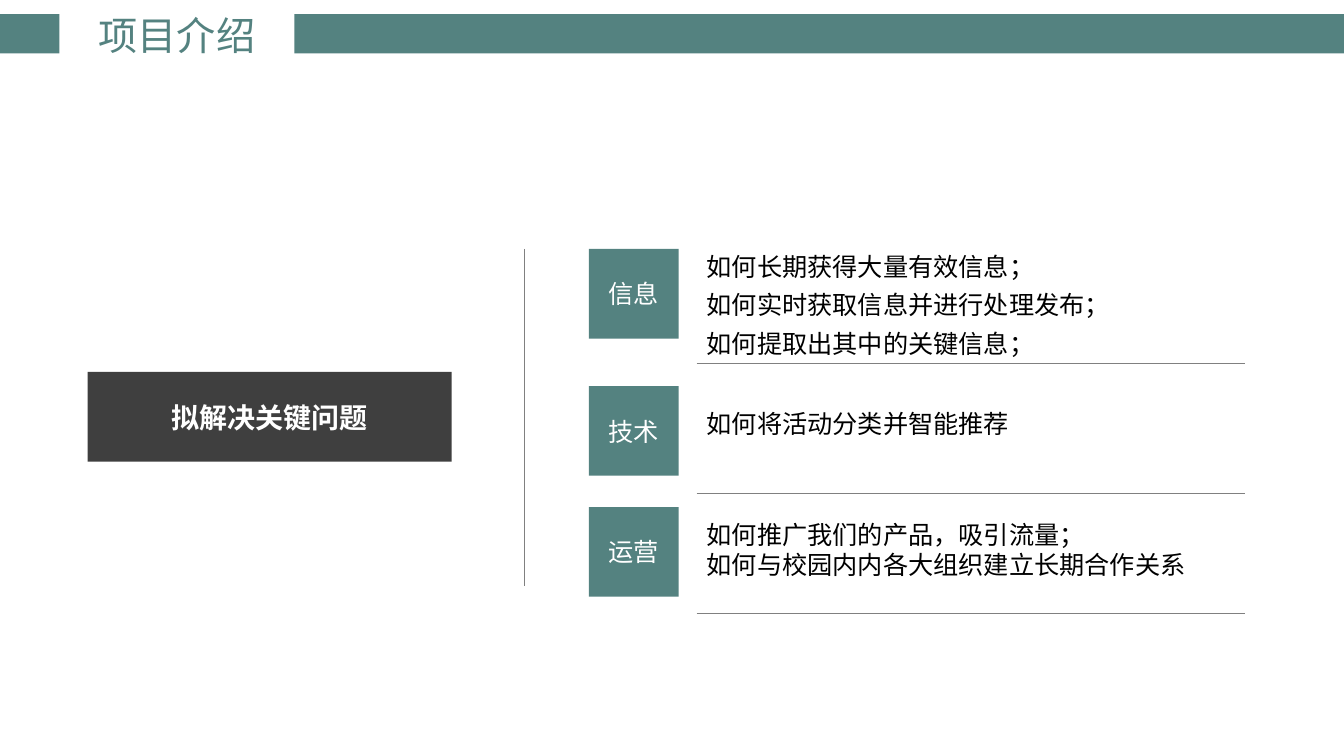
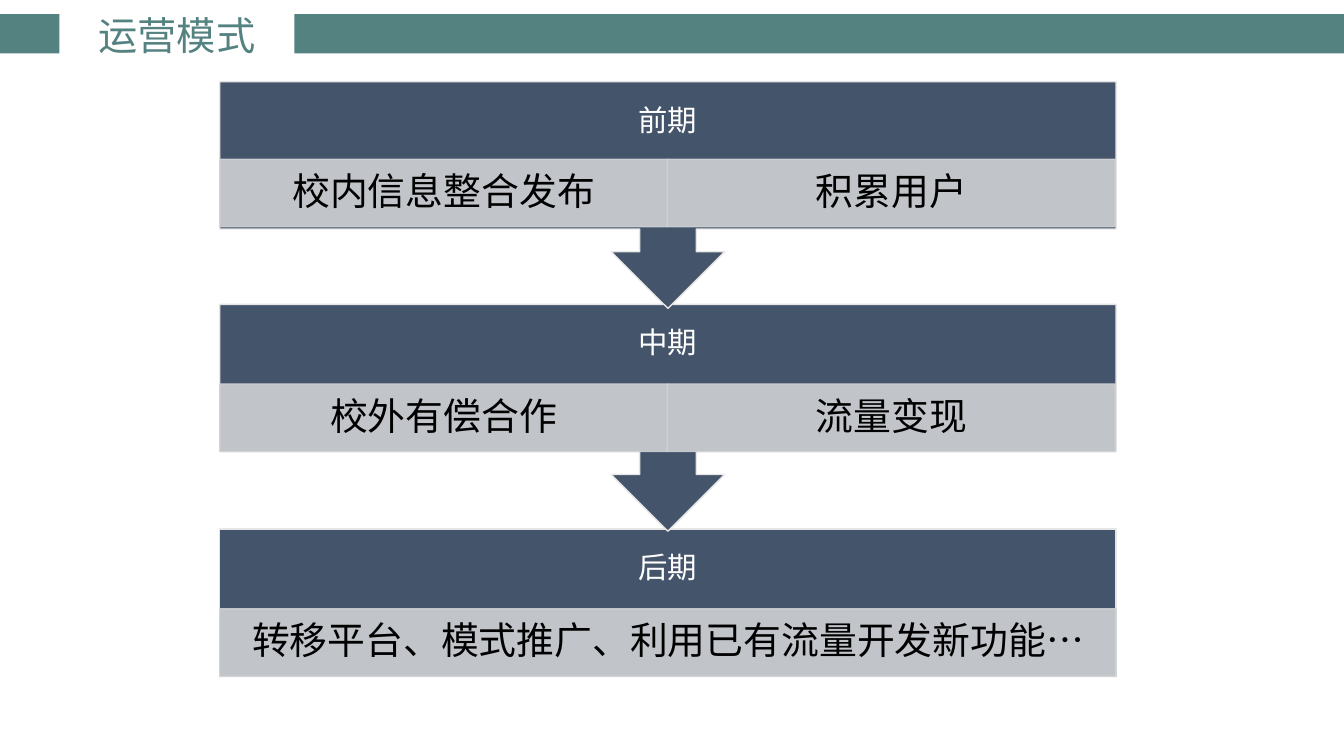
from lxml import etree
from pptx import Presentation
from pptx import util as u
from pptx.dml.color import RGBColor
from pptx.enum import shapes, text
from pptx.oxml import ns

PX = 9144
FONT = "Noto Sans CJK SC"
TEAL = RGBColor(0x54, 0x82, 0x80)
CHARCOAL = RGBColor(0x3F, 0x3F, 0x3F)
RULE_GRAY = RGBColor(0x80, 0x80, 0x80)
NAVY = RGBColor(0x44, 0x54, 0x6A)
PALE = RGBColor(0xE7, 0xE6, 0xE6)
CELL_GRAY = RGBColor(0xCF, 0xD1, 0xD4)
WHITE = RGBColor(0xFF, 0xFF, 0xFF)
BLACK = RGBColor(0x00, 0x00, 0x00)

RECT = shapes.MSO_SHAPE.RECTANGLE
CALLOUT = shapes.MSO_SHAPE.DOWN_ARROW_CALLOUT
LEFT, CENTER = text.PP_ALIGN.LEFT, text.PP_ALIGN.CENTER
TOP, MIDDLE = text.MSO_ANCHOR.TOP, text.MSO_ANCHOR.MIDDLE

TILE = 89
STAGE_LEFT, STAGE_WIDTH = 218, 889
BODY_HEIGHT, CALLOUT_HEIGHT, CELL_HEIGHT = 146, 225, 67

TOPICS = [
    (247, 244, 118, 360, 6,
     ["如何长期获得大量有效信息；", "如何实时获取信息并进行处理发布；", "如何提取出其中的关键信息；"], "信息"),
    (383, 400, 40, 489, 0, ["如何将活动分类并智能推荐"], "技术"),
    (503, 510, 71, 609, 0,
     ["如何推广我们的产品，吸引流量；", "如何与校园内内各大组织建立长期合作关系"], "运营"),
]
STAGES = [
    (81, 158, "前期", ["校内信息整合发布", "积累用户"]),
    (302, 381, "中期", ["校外有偿合作", "流量变现"]),
    (525, 604, "后期", ["转移平台、模式推广、利用已有流量开发新功能…"]),
]


def px(*lengths):
    """Turn px lengths into EMU."""
    return [u.Emu(length * PX) for length in lengths]


def write_text(box, lines, size=18, color=BLACK, bold=False, align=CENTER, anchor=MIDDLE,
               wrap=True, before=0, spacing=1.0, insets=(10, 5, 10, 5)):
    """Fill a shape with one paragraph per line in the given format."""
    frame = box.text_frame
    frame.word_wrap = wrap
    frame.vertical_anchor = anchor
    (frame.margin_left, frame.margin_top,
     frame.margin_right, frame.margin_bottom) = px(*insets)
    for index, line in enumerate(lines):
        para = frame.add_paragraph() if index else frame.paragraphs[0]
        para.alignment = align
        para.line_spacing = spacing
        para.space_before = u.Pt(before)
        span = para.add_run()
        span.text = line
        span.font.size = u.Pt(size)
        span.font.bold = bold
        span.font.color.rgb = color
        span.font.name = FONT
        east_asian = etree.SubElement(span.font._element, ns.qn("a:ea"))
        east_asian.set("typeface", FONT)


def add_text(page, at, lines, **style):
    """Add a text box."""
    box = page.shapes.add_textbox(*px(*at))
    write_text(box, lines, **style)
    return box


def add_block(page, at, fill, line=None, kind=RECT):
    """Add a flat filled shape, with a 1 pt outline if a line colour is given."""
    block = page.shapes.add_shape(kind, *px(*at))
    block.shadow.inherit = False
    block.fill.solid()
    block.fill.fore_color.rgb = fill
    if line is None:
        block.line.fill.background()
    else:
        block.line.color.rgb = line
        block.line.width = u.Pt(1)
    return block


def set_opacity(block, percent):
    """Make the fill and outline of a block partly transparent."""
    for color in block._element.spPr.iter(ns.qn("a:srgbClr")):
        etree.SubElement(color, ns.qn("a:alpha")).set("val", str(percent * 1000))


def add_rule(page, start_x, start_y, end_x, end_y):
    """Add a thin grey line."""
    rule = page.shapes.add_connector(shapes.MSO_CONNECTOR.STRAIGHT,
                                     *px(start_x, start_y, end_x, end_y))
    rule.line.color.rgb = RULE_GRAY
    rule.line.width = u.Pt(0.5)
    etree.SubElement(rule._element.spPr, ns.qn("a:effectLst"))


def add_page(deck, title):
    """Add a blank page with the shared bands and title."""
    page = deck.slides.add_slide(deck.slide_layouts[6])
    for left, width in ((0, 59), (292, 1041)):
        add_block(page, (left, 14, width, 39), TEAL)
    add_text(page, (87, 6, 177, 57), [title], size=28, color=TEAL, wrap=False)
    return page


def add_topic(page, tile_top, text_top, text_height, rule_y, before, lines, label):
    """Add a labelled tile with its questions and the rule below them."""
    tile = add_block(page, (584, tile_top, TILE, TILE), TEAL)
    write_text(tile, [label], color=WHITE)
    add_text(page, (691, text_top, 592, text_height), lines,
             align=LEFT, anchor=TOP, before=before)
    add_rule(page, 691, rule_y, 1235, rule_y)


def add_stage(page, top, cell_top, name, tasks, last):
    """Add a stage header over a row of equal task cells."""
    kind, height = (RECT, BODY_HEIGHT) if last else (CALLOUT, CALLOUT_HEIGHT)
    header = add_block(page, (STAGE_LEFT, top, STAGE_WIDTH, height), NAVY, PALE, kind)
    write_text(header, [name], size=21, color=WHITE, spacing=0.9,
               insets=(16, 0, 16, CELL_HEIGHT))
    width = STAGE_WIDTH // len(tasks)
    for column, task in enumerate(tasks):
        cell = add_block(page, (STAGE_LEFT + column * width, cell_top, width, CELL_HEIGHT),
                         CELL_GRAY, CELL_GRAY)
        set_opacity(cell, 90)
        write_text(cell, [task], size=27, spacing=0.9, insets=(21, 4, 21, 4))


def build_key_questions(deck):
    """Build the page of key questions."""
    page = add_page(deck, "项目介绍")
    banner = add_block(page, (87, 369, 361, TILE), CHARCOAL)
    write_text(banner, ["拟解决关键问题"], size=20, color=WHITE, bold=True)
    add_rule(page, 520, 247, 520, 581)
    for topic in TOPICS:
        add_topic(page, *topic)


def build_operating_model(deck):
    """Build the page of stages, last stage at the back."""
    page = add_page(deck, "运营模式")
    for stage in reversed(STAGES):
        add_stage(page, *stage, last=stage is STAGES[-1])


def main():
    """Build and save the deck."""
    deck = Presentation()
    deck.slide_width, deck.slide_height = px(1333, 750)
    build_key_questions(deck)
    build_operating_model(deck)
    deck.save("out.pptx")


if __name__ == "__main__":
    main()
